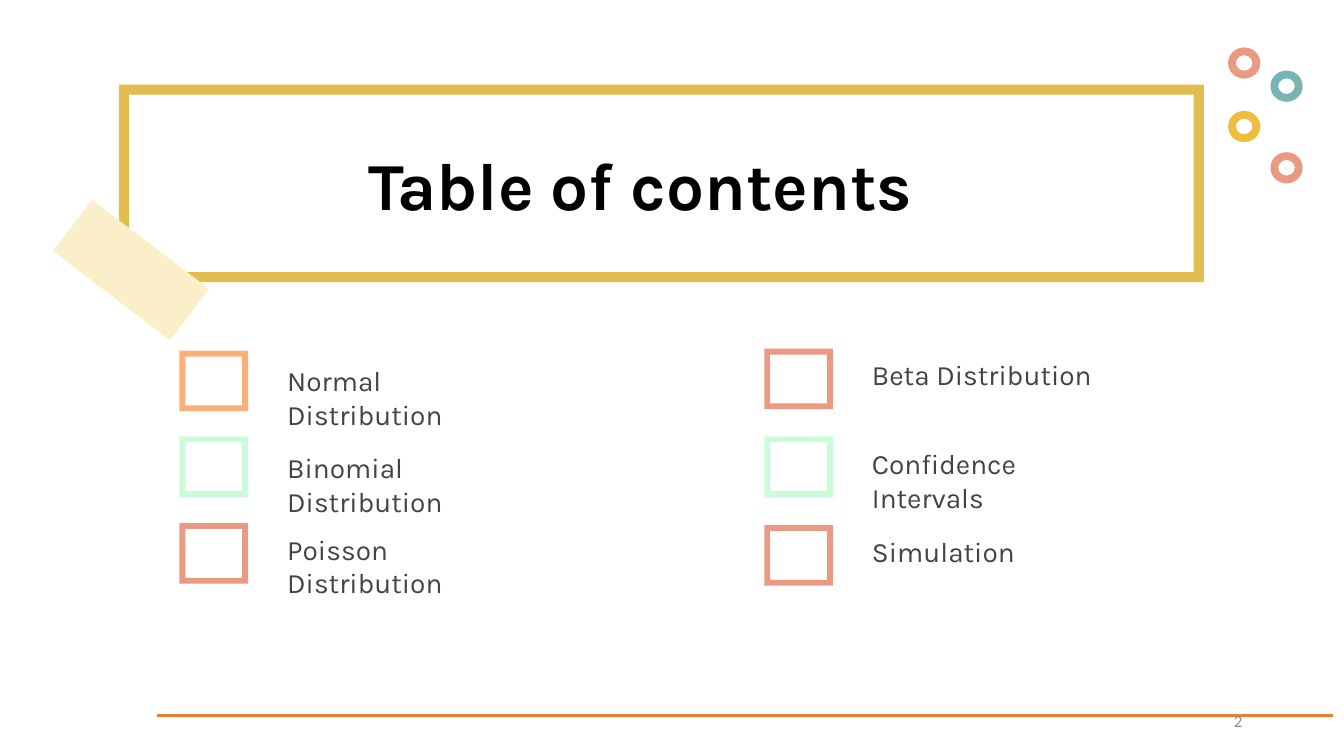
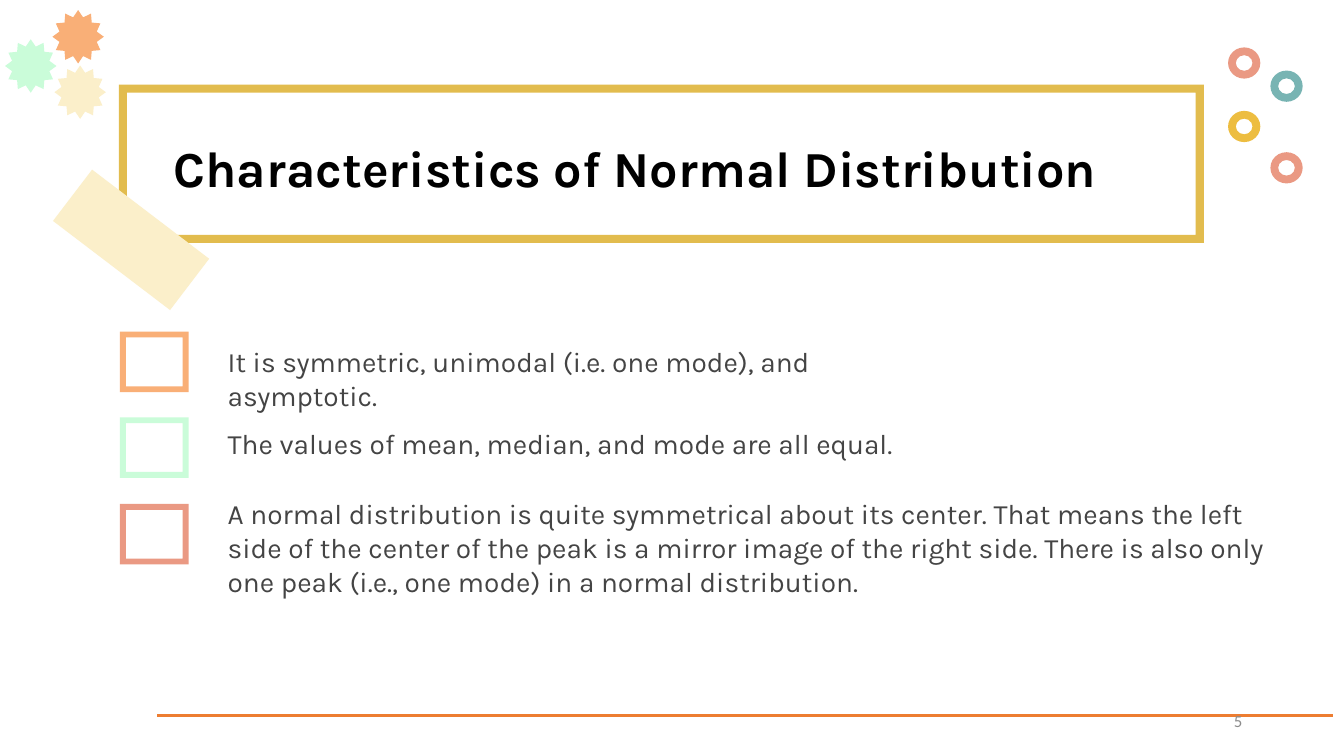
from pptx import Presentation
from pptx.dml.color import RGBColor
from pptx.enum import shapes, text
from pptx.oxml import parse_xml
from pptx.oxml.ns import nsdecls
from pptx.util import Inches, Pt

HUES = {
    "gold": "E2BC4E", "cream": "FBEFCA", "coral": "EA9983", "teal": "78B4B3",
    "amber": "EDBD40", "peach": "F9AF77", "mint": "CAFCD9", "rule": "ED7D31",
    "title": "000000", "body": "444444", "page": "8C8C8C",
}
KIND = shapes.MSO_SHAPE
FONT = "Karla"


def hue(name):
    return RGBColor.from_string(HUES[name])


def inch(box):
    return [Inches(round(n, 2)) for n in box]


def draw(slide, kind, box, color, adj=None):
    """Add a flat preset shape without an outline."""
    part = slide.shapes.add_shape(kind, *inch(box))
    part.shadow.inherit = False
    part.fill.solid()
    part.fill.fore_color.rgb = hue(color)
    part.line.fill.background()
    if adj is not None:
        part.adjustments[0] = adj
    return part


def write(shape, words, size, color, font=FONT, bold=False,
          align=text.PP_ALIGN.LEFT, anchor=text.MSO_ANCHOR.TOP):
    """Fill a text box or placeholder with one styled run."""
    frame = shape.text_frame
    frame.word_wrap = True
    frame.auto_size = text.MSO_AUTO_SIZE.NONE
    frame.vertical_anchor = anchor
    para = frame.paragraphs[0]
    para.alignment = align
    run = para.add_run()
    run.text = words
    run.font.name = font
    run.font.size = Pt(size)
    run.font.bold = bold
    run.font.color.rgb = hue(color)


def label(slide, box, words, size, color, **style):
    write(slide.shapes.add_textbox(*inch(box)), words, size, color, **style)


def footer(slide, page):
    # Rule along the bottom, with the page number on it
    rule = slide.shapes.add_connector(
        shapes.MSO_CONNECTOR.STRAIGHT, *inch((1.56, 7.1, 13.22, 7.1)))
    rule.line.color.rgb = hue("rule")
    rule.line.width = Pt(2.25)
    rule._element.spPr.append(parse_xml(f"<a:effectLst {nsdecls('a')}/>"))
    label(slide, (9.42, 6.95, 3, 0.4), page, 12, "page", font="Calibri",
          align=text.PP_ALIGN.RIGHT, anchor=text.MSO_ANCHOR.MIDDLE)


def banner(slide, box, words, size, spot):
    """Frame the title in the box, taped at its lower left corner."""
    left, top, _, high = box
    draw(slide, KIND.FRAME, box, "gold", 0.051)
    tape = draw(slide, KIND.RECTANGLE,
                (left - 0.61, top + 0.775 * high, 1.46, 0.64), "cream")
    tape.rotation = 37.3
    title = slide.shapes.title
    title.left, title.top, title.width, title.height = inch(spot)
    write(title, words, size, "title", bold=True)


def rings(slide, left, top):
    # Two staggered columns of rings
    marks = [(0, 0, "coral"), (0.42, 0.23, "teal"),
             (0, 0.63, "amber"), (0.42, 1.04, "coral")]
    for dx, dy, color in marks:
        draw(slide, KIND.DONUT, (left + dx, top + dy, 0.32, 0.31), color)


def stars(slide, left, top):
    # Cluster of three stars
    marks = [(0.47, 0, "peach"), (0.49, 0.55, "cream"), (0, 0.29, "mint")]
    for dx, dy, color in marks:
        draw(slide, KIND.STAR_12_POINT,
             (left + dx, top + dy, 0.51, 0.53), color)


def items(slide, left, top, step, rows):
    """Stack hollow squares; each row is colour, text, text shift and size."""
    for i, (color, words, shift, wide, high) in enumerate(rows):
        y = top + i * step
        draw(slide, KIND.FRAME, (left, y, 0.68, 0.6), color, 0.096)
        label(slide, (left + 0.97, y + shift, wide, high), words, 20, "body")


def start(deck, page):
    """Add a slide with the parts that all slides share."""
    slide = deck.slides.add_slide(deck.slide_layouts[5])
    footer(slide, page)
    rings(slide, 12.18, 0.47)
    return slide


def contents(deck):
    slide = start(deck, "2")
    banner(slide, (1.18, 0.84, 10.76, 1.96), "Table of contents", 48,
           (3.55, 1.37, 7.79, 0.91))
    items(slide, 1.78, 3.48, 0.855, [
        ("peach", "Normal Distribution", 0.08, 2.73, 0.44),
        ("mint", "Binomial Distribution", 0.08, 2.86, 0.44),
        ("coral", "Poisson Distribution", 0.04, 2.73, 0.44),
    ])
    items(slide, 7.58, 3.46, 0.875, [
        ("coral", "Beta Distribution", 0.04, 2.73, 0.44),
        ("mint", "Confidence Intervals", 0.04, 2.73, 0.44),
        ("coral", "Simulation", 0.04, 2.73, 0.44),
    ])


def traits(deck):
    slide = start(deck, "5")
    banner(slide, (1.18, 0.84, 10.76, 1.57),
           "Characteristics of Normal Distribution", 36,
           (1.62, 1.31, 10.08, 0.71))
    stars(slide, 0.05, 0.1)
    items(slide, 1.19, 3.29, 0.855, [
        ("peach", "It is symmetric, unimodal (i.e. one mode), and asymptotic.",
         0.08, 7.51, 0.44),
        ("mint", "The values of mean, median, and mode are all equal.",
         0.04, 7.51, 0.44),
        ("coral", "A normal distribution is quite symmetrical about its "
         "center. That means the left side of the center of the peak is a "
         "mirror image of the right side. There is also only one peak "
         "(i.e., one mode) in a normal distribution.", -0.12, 10.56, 1.11),
    ])


def main():
    deck = Presentation()
    deck.slide_width, deck.slide_height = inch((13.33, 7.5))
    contents(deck)
    traits(deck)
    deck.save("out.pptx")


if __name__ == "__main__":
    main()
